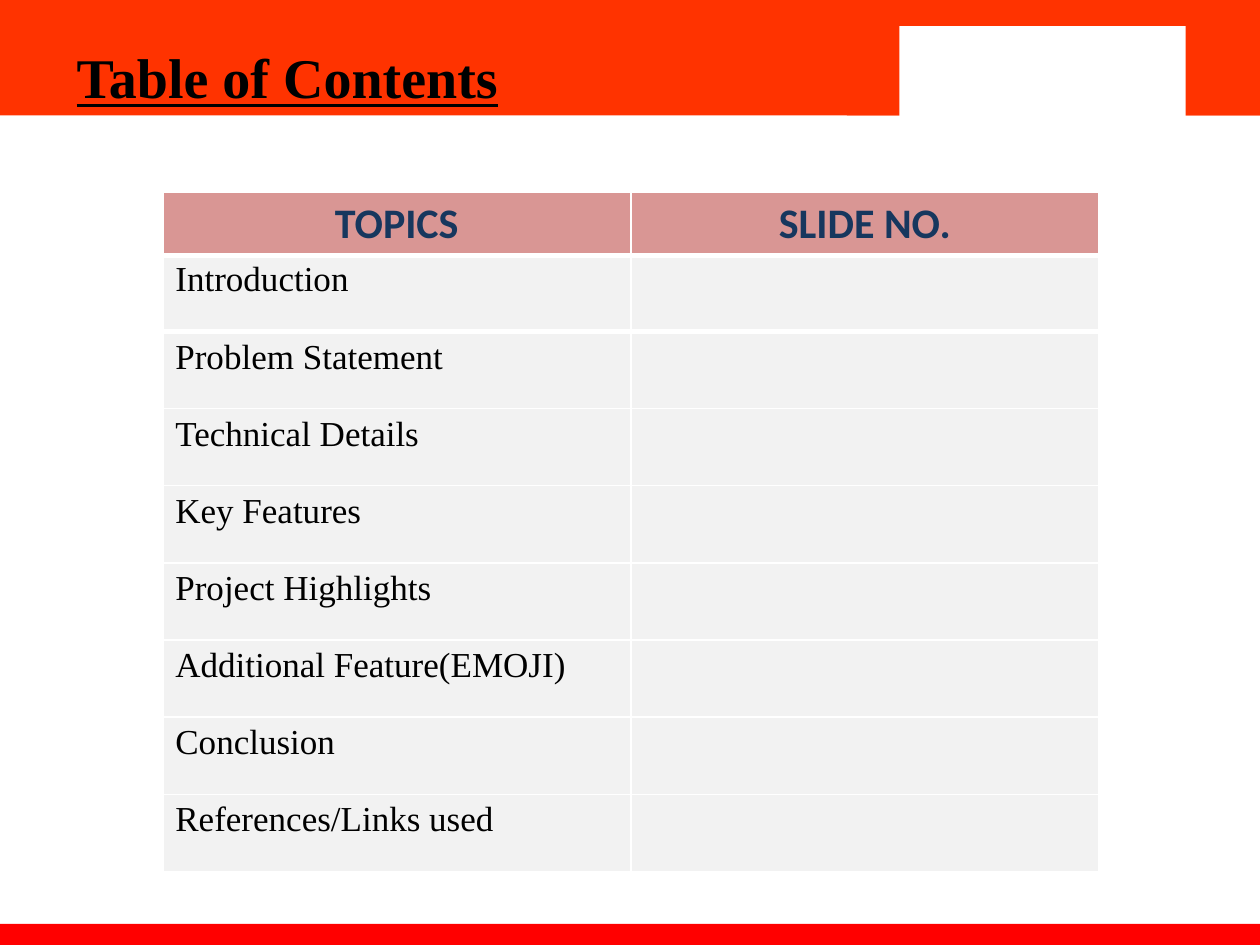
"""Build the table of contents slide with its red bands and two tables."""
import pptx
import pptx.dml.color
import pptx.enum.shapes
import pptx.enum.text
import pptx.oxml
import pptx.oxml.ns
import pptx.util

Pt = pptx.util.Pt
RGB = pptx.dml.color.RGBColor
ORANGE = RGB(0xFF, 0x33, 0x00)
RED = RGB(0xFF, 0x00, 0x00)
WHITE = RGB(0xFF, 0xFF, 0xFF)
BLACK = RGB(0x00, 0x00, 0x00)
GREY = RGB(0xF2, 0xF2, 0xF2)
PINK = RGB(0xD9, 0x96, 0x94)
NAVY = RGB(0x17, 0x37, 0x5E)
SERIF = "Times New Roman"


def write(frame, text, size, face, color, bold=False):
    run = frame.paragraphs[0].add_run()
    run.text = text
    run.font.size = Pt(size)
    run.font.name = face
    run.font.color.rgb = color
    run.font.bold = bold
    return run


def style(cell, fill, top, bottom):
    cell.fill.solid()
    cell.fill.fore_color.rgb = fill
    props = cell._tc.get_or_add_tcPr()
    sides = (("L", 1), ("R", 1), ("T", top), ("B", bottom))
    for spot, (side, width) in enumerate(sides):
        line = pptx.oxml.parse_xml(
            f'<a:ln{side} {pptx.oxml.ns.nsdecls("a")} w="{Pt(width)}">'
            f'<a:solidFill><a:srgbClr val="{WHITE}"/></a:solidFill></a:ln{side}>'
        )
        props.insert(spot, line)


deck = pptx.Presentation()
deck.slide_width, deck.slide_height = Pt(720), Pt(540)
slide = deck.slides.add_slide(deck.slide_layouts[6])
shapes = slide.shapes

bands = [
    (0, 0, 720, 66, ORANGE),
    (0, 528, 720, 16, RED),
    (484, 0, 236, 66, ORANGE),
    (514, 15, 163.5, 54, WHITE),
]
for left, top, width, height, fill in bands:
    band = shapes.add_shape(
        pptx.enum.shapes.MSO_SHAPE.RECTANGLE, Pt(left), Pt(top), Pt(width), Pt(height)
    )
    band.shadow.inherit = False
    band.fill.solid()
    band.fill.fore_color.rgb = fill
    band.line.fill.background()

title = shapes.add_textbox(Pt(36.7), Pt(21), Pt(425.5), Pt(46)).text_frame
title.word_wrap = True
write(title, "Table of Contents", 32, SERIF, BLACK, True).font.underline = True

topics = [
    "Introduction",
    "Problem Statement",
    "Technical Details",
    "Key Features",
    "Project Highlights",
    "Additional Feature(EMOJI)",
    "Conclusion",
    "References/Links used",
]
body = shapes.add_table(len(topics), 2, Pt(93), Pt(145.3), Pt(535), Pt(352.8)).table
body.first_row = body.horz_banding = False
for row, topic in enumerate(topics):
    write(body.cell(row, 0).text_frame, topic, 20, SERIF, BLACK)
    for cell in body.rows[row].cells:
        style(cell, GREY, 3 if row == 1 else 1, 3 if row == 0 else 1)

head = shapes.add_table(1, 2, Pt(93), Pt(110), Pt(535), Pt(36)).table
head.horz_banding = False
for cell, label in zip(head.rows[0].cells, ("TOPICS", "SLIDE NO.")):
    style(cell, PINK, 1, 3)
    write(cell.text_frame, label, 24, "Calibri", NAVY, True)
    cell.text_frame.paragraphs[0].alignment = pptx.enum.text.PP_ALIGN.CENTER

deck.save("out.pptx")
